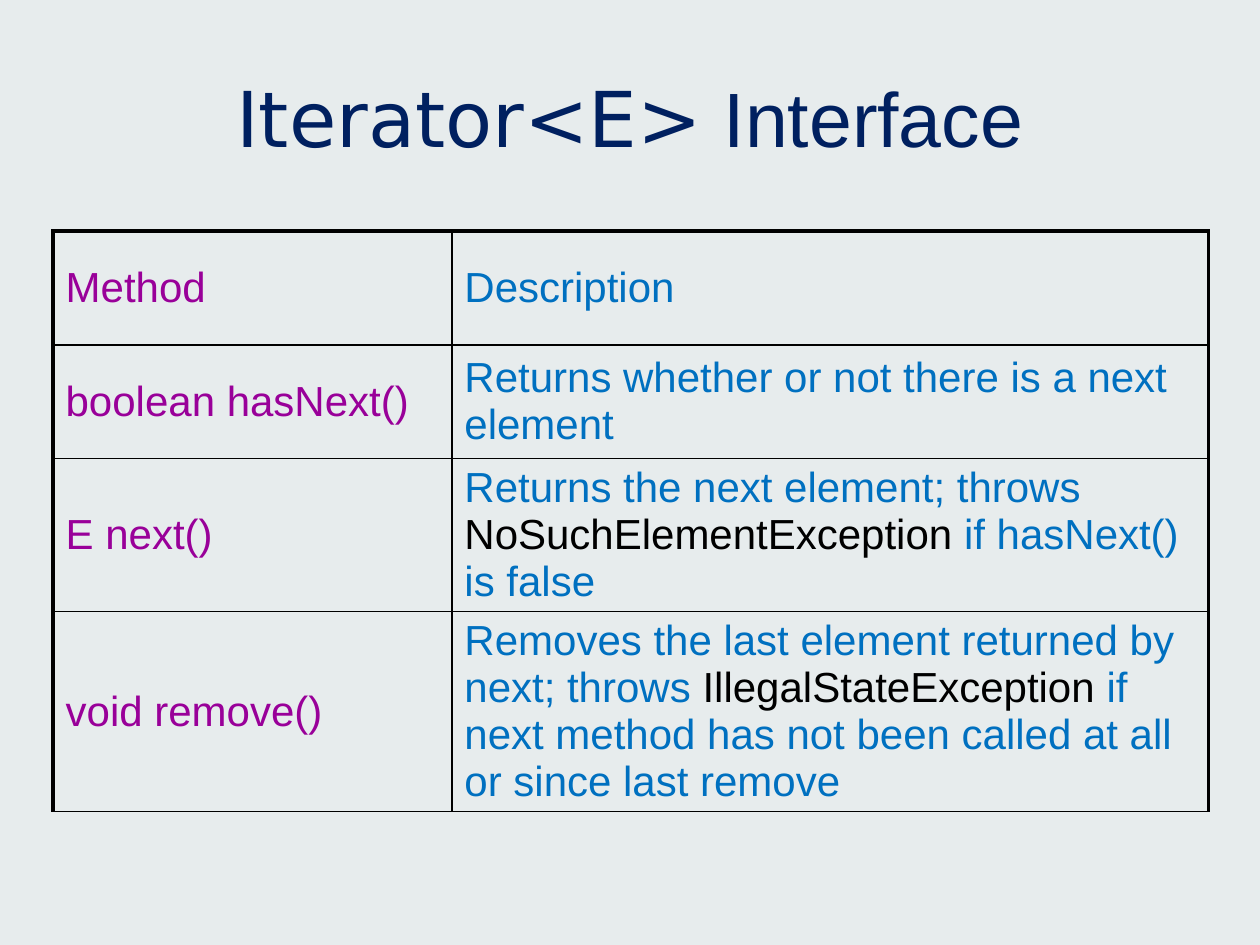
from dataclasses import dataclass

from lxml import etree
from pptx import Presentation, util as u
from pptx.dml.color import RGBColor
from pptx.enum import text
from pptx.oxml import ns

HUES = {"back": "E7ECED", "head": "002060", "name": "990099",
        "desc": "0070C0", "error": "000000", "line": "000000"}
THIN, THICK = 1, 2.25


@dataclass
class Run:
    words: str
    hue: str
    size: float = 24
    face: str = "Arial"


@dataclass
class Row:
    name: str
    runs: list[Run]


ROWS = [
    Row("Method", [Run("Description", "desc")]),
    Row("boolean hasNext()",
        [Run("Returns whether or not there is a next element", "desc")]),
    Row("E next()",
        [Run("Returns the next element; throws ", "desc"),
         Run("NoSuchElementException ", "error"),
         Run("if hasNext() is false", "desc")]),
    Row("void remove()",
        [Run("Removes the last element returned by next; throws ", "desc"),
         Run("IllegalStateException ", "error"),
         Run("if next method has not been called at all or since last remove",
             "desc")]),
]


def color(key: str) -> RGBColor:
    return RGBColor.from_string(HUES[key])


def style(item, form: dict) -> None:
    for key, val in form.items():
        setattr(item, key, val)


def write(para, runs: list[Run]) -> None:
    for part in runs:
        run = para.add_run()
        run.text = part.words
        style(run.font, {"size": u.Pt(part.size), "name": part.face,
                         "bold": False})
        run.font.color.rgb = color(part.hue)


def edge(cell, sides: dict[str, float]) -> None:
    """Draw the cell borders, in schema order ahead of the fill."""
    props = cell._tc.get_or_add_tcPr()
    for spot, (side, width) in enumerate(sides.items()):
        line = etree.Element(ns.qn(f"a:ln{side}"), w=str(u.Pt(width)))
        fill = etree.SubElement(line, ns.qn("a:solidFill"))
        etree.SubElement(fill, ns.qn("a:srgbClr"), val=HUES["line"])
        props.insert(spot, line)


# Slide and background
deck = Presentation()
style(deck, {"slide_width": u.Cm(25.4), "slide_height": u.Cm(19.05)})
slide = deck.slides.add_slide(deck.slide_layouts[5])
slide.background.fill.solid()
slide.background.fill.fore_color.rgb = color("back")

# Title
title = slide.shapes.title
style(title, {"left": u.Cm(1.27), "top": u.Cm(0.76),
              "width": u.Cm(22.86), "height": u.Cm(3.18)})
style(title.text_frame, {"vertical_anchor": text.MSO_ANCHOR.MIDDLE,
                         "word_wrap": True})
head = title.text_frame.paragraphs[0]
head.alignment = text.PP_ALIGN.CENTER
write(head, [Run("Iterator<E>", "head", 44, "DejaVu Sans"),
             Run(" Interface", "head", 44)])

# Method table
high, wide = 2.29, (8.04, 15.25)
table = slide.shapes.add_table(
    len(ROWS), len(wide), u.Cm(1.07), u.Cm(4.66),
    u.Cm(sum(wide)), u.Cm(high * len(ROWS))).table
style(table, {"first_row": False, "horz_banding": False})
for col, width in zip(table.columns, wide):
    col.width = u.Cm(width)

for r, row in enumerate(ROWS):
    table.rows[r].height = u.Cm(high)
    for c, runs in enumerate(([Run(row.name, "name")], row.runs)):
        cell = table.cell(r, c)
        cell.vertical_anchor = text.MSO_ANCHOR.MIDDLE
        cell.fill.background()
        write(cell.text_frame.paragraphs[0], runs)
        edge(cell, {"L": THICK if c == 0 else THIN,
                    "R": THICK if c == len(wide) - 1 else THIN,
                    "T": THICK if r == 0 else THIN,
                    "B": THIN})

deck.save("out.pptx")
